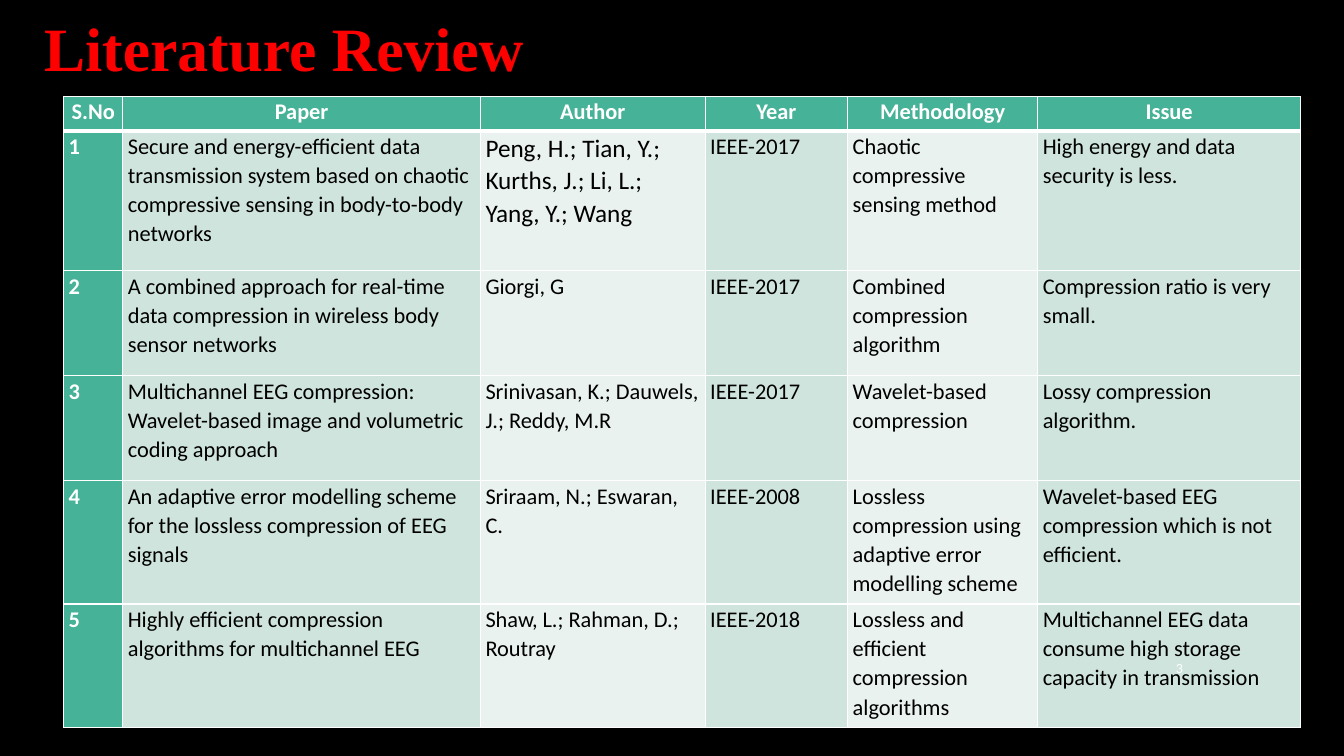
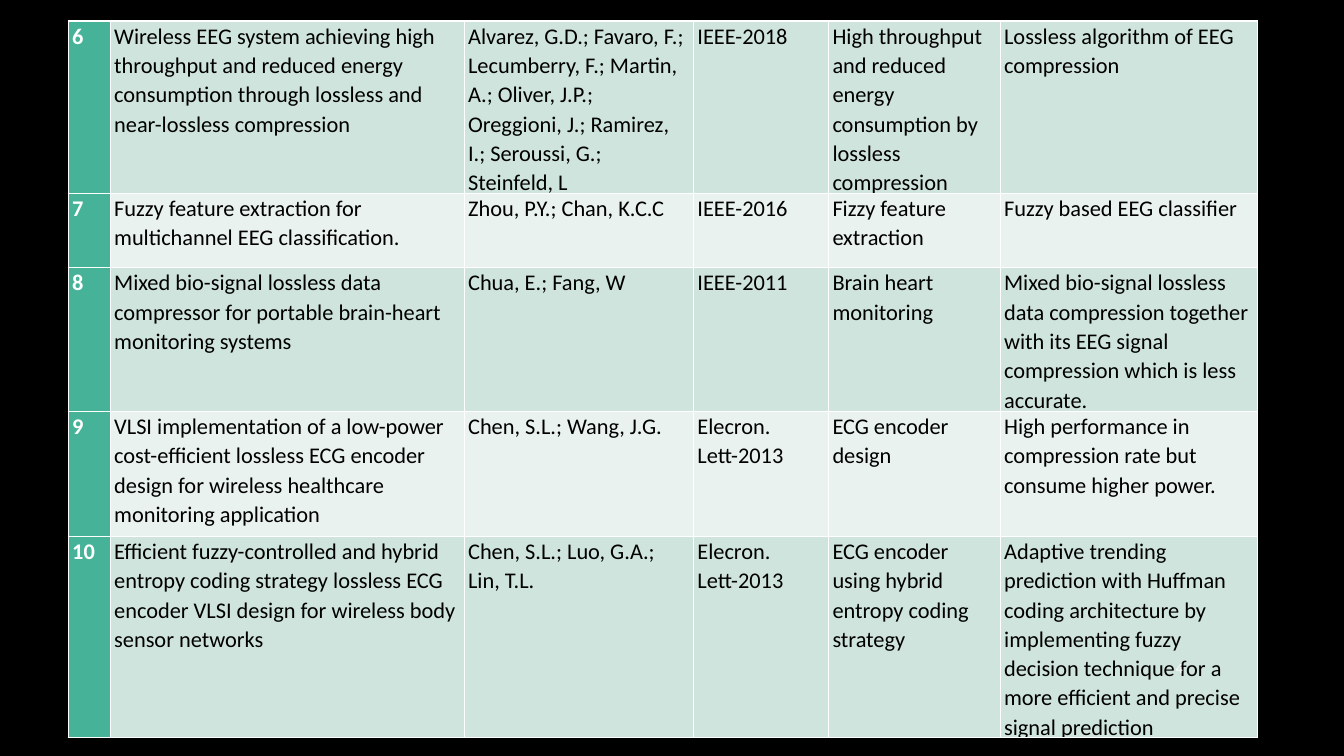
from dataclasses import dataclass

from lxml import etree
from pptx import Presentation
from pptx import util as u
from pptx.dml import color
from pptx.enum import text
from pptx.oxml import ns


# Theme: colours, fonts and type sizes
@dataclass(frozen=True)
class Theme:
    back: str = "000000"
    title: str = "FF0000"
    light: str = "FFFFFF"
    dark: str = "000000"
    head: str = "46B298"
    bands: tuple = ("CFE4DD", "E9F2EF")
    serif: str = "Times New Roman"
    sans: str = "Calibri"
    title_size: int = 44
    body_size: int = 16
    large_size: int = 18
    foot_size: int = 10
    thin: int = 1
    thick: int = 3


def rgb(code):
    return color.RGBColor.from_string(code)


# Style and current slide
class Deck:
    def __init__(self, theme):
        self.theme = theme
        self.prs = Presentation()
        self.prs.slide_width, self.prs.slide_height = u.Pt(960), u.Pt(540)
        self.slide = None

    def start(self):
        self.slide = self.prs.slides.add_slide(self.prs.slide_layouts[6])
        fill = self.slide.background.fill
        fill.solid()
        fill.fore_color.rgb = rgb(self.theme.back)

    def style(self, para, size, code, name, bold=False):
        for run in para.runs:
            font = run.font
            font.size, font.bold, font.name = u.Pt(size), bold, name
            font.color.rgb = rgb(code)

    def label(self, words, left, top, width, height, anchor):
        box = self.slide.shapes.add_textbox(*map(u.Pt, (left, top, width, height)))
        frame = box.text_frame
        frame.word_wrap = True
        frame.vertical_anchor = anchor
        frame.text = words
        return frame.paragraphs[0]

    def title(self, words):
        para = self.label(words, 24.5, 9.5, 828, 104, text.MSO_ANCHOR.TOP)
        para.line_spacing = 0.9
        self.style(para, self.theme.title_size, self.theme.title, self.theme.serif, True)

    def number(self, count):
        para = self.label(str(count), 808.5, 462, 43.5, 29.5, text.MSO_ANCHOR.MIDDLE)
        para.alignment = text.PP_ALIGN.RIGHT
        self.style(para, self.theme.foot_size, self.theme.light, self.theme.sans)

    def border(self, cell, top, bottom):
        props = cell._tc.get_or_add_tcPr()
        thin = self.theme.thin
        for side, width in (("L", thin), ("R", thin), ("T", top), ("B", bottom)):
            line = etree.SubElement(props, ns.qn(f"a:ln{side}"), w=str(u.Pt(width)))
            fill = etree.SubElement(line, ns.qn("a:solidFill"))
            etree.SubElement(fill, ns.qn("a:srgbClr"), val=self.theme.light)

    def cell(self, cell, words, shade, inset, align, strong, size):
        cell.fill.solid()
        cell.fill.fore_color.rgb = rgb(shade)
        cell.margin_left = cell.margin_right = u.Pt(inset)
        cell.margin_top = cell.margin_bottom = 0
        cell.text_frame.text = words
        para = cell.text_frame.paragraphs[0]
        para.alignment = align
        para.line_spacing, para.space_after = 1.07, u.Pt(8)
        code = self.theme.light if strong else self.theme.dark
        self.style(para, size, code, self.theme.sans, strong)

    def table(self, rows, left, top, widths, heights, inset, header=False,
              by_row=False, even=(0,), large=()):
        theme, align = self.theme, text.PP_ALIGN
        frame = self.slide.shapes.add_table(
            len(rows), len(widths),
            *map(u.Pt, (left, top, sum(widths), sum(heights))))
        grid = frame.table
        grid.first_row, grid.horz_banding = header, False
        for col, width in zip(grid.columns, widths):
            col.width = u.Pt(width)
        for r, (row, height) in enumerate(zip(rows, heights)):
            grid.rows[r].height = u.Pt(height)
            is_head = header and r == 0
            for c, words in enumerate(row):
                cell = grid.cell(r, c)
                self.border(cell,
                            theme.thick if header and r == 1 else theme.thin,
                            theme.thick if is_head else theme.thin)
                strong = is_head or c == 0
                band = theme.bands[(r if by_row else c - 1) % 2]
                place = (align.CENTER if is_head else
                         align.JUSTIFY if c in even else align.LEFT)
                size = theme.large_size if (r, c) in large else theme.body_size
                self.cell(cell, words, theme.head if strong else band,
                          inset, place, strong, size)

    def save(self):
        self.prs.save("out.pptx")


# Table content
EARLY = [
    ("S.No", "Paper", "Author", "Year", "Methodology", "Issue"),
    ("1", "Secure and energy-efficient data transmission system based on chaotic "
     "compressive sensing in body-to-body networks",
     "Peng, H.; Tian, Y.; Kurths, J.; Li, L.; Yang, Y.; Wang", "IEEE-2017",
     "Chaotic compressive sensing method", "High energy and data security is less."),
    ("2", "A combined approach for real-time data compression in wireless body "
     "sensor networks",
     "Giorgi, G", "IEEE-2017",
     "Combined compression algorithm", "Compression ratio is very small."),
    ("3", "Multichannel EEG compression: Wavelet-based image and volumetric "
     "coding approach",
     "Srinivasan, K.; Dauwels, J.; Reddy, M.R", "IEEE-2017",
     "Wavelet-based compression", "Lossy compression algorithm."),
    ("4", "An adaptive error modelling scheme for the lossless compression of "
     "EEG signals",
     "Sriraam, N.; Eswaran, C.", "IEEE-2008",
     "Lossless compression using adaptive error modelling scheme",
     "Wavelet-based EEG compression which is not efficient."),
    ("5", "Highly efficient compression algorithms for multichannel EEG",
     "Shaw, L.; Rahman, D.; Routray", "IEEE-2018",
     "Lossless and efficient compression algorithms",
     "Multichannel EEG data consume high storage capacity in transmission"),
]
LATER = [
    ("6", "Wireless EEG system achieving high throughput and reduced energy "
     "consumption through lossless and near-lossless compression",
     "Alvarez, G.D.; Favaro, F.; Lecumberry, F.; Martin, A.; Oliver, J.P.; "
     "Oreggioni, J.; Ramirez, I.; Seroussi, G.; Steinfeld, L", "IEEE-2018",
     "High throughput and reduced energy consumption by lossless compression",
     "Lossless algorithm of EEG compression"),
    ("7", "Fuzzy feature extraction for multichannel EEG classification.",
     "Zhou, P.Y.; Chan, K.C.C", "IEEE-2016",
     "Fizzy feature extraction", "Fuzzy based EEG classifier"),
    ("8", "Mixed bio-signal lossless data compressor for portable brain-heart "
     "monitoring systems",
     "Chua, E.; Fang, W", "IEEE-2011", "Brain heart monitoring",
     "Mixed bio-signal lossless data compression together with its EEG signal "
     "compression which is less accurate."),
    ("9", "VLSI implementation of a low-power cost-efficient lossless ECG encoder "
     "design for wireless healthcare monitoring application",
     "Chen, S.L.; Wang, J.G.", "Elecron. Lett-2013", "ECG encoder design",
     "High performance in compression rate but consume higher power."),
    ("10", "Efficient fuzzy-controlled and hybrid entropy coding strategy lossless "
     "ECG encoder VLSI design for wireless body sensor networks",
     "Chen, S.L.; Luo, G.A.; Lin, T.L.", "Elecron. Lett-2013",
     "ECG encoder using hybrid entropy coding strategy",
     "Adaptive trending prediction with Huffman coding architecture by "
     "implementing fuzzy decision technique for a more efficient and precise "
     "signal prediction"),
]


def main():
    deck = Deck(Theme())

    # Papers 1 to 5, shaded by column
    deck.start()
    deck.title("Literature Review")
    deck.table(EARLY, 45.4, 69, (42.3, 255.5, 160.5, 101.8, 135.8, 187.8),
               (24.5, 100, 75, 75, 88, 88), 3.6,
               header=True, even=(0, 3), large={(1, 2)})
    deck.number(3)

    # Papers 6 to 10, shaded by row
    deck.start()
    deck.table(LATER, 48.8, 15, (30, 252.8, 163.8, 96.5, 122.6, 183.6),
               (115, 53, 96, 89.3, 134.6), 2.8, by_row=True)
    deck.number(4)

    deck.save()


if __name__ == "__main__":
    main()
